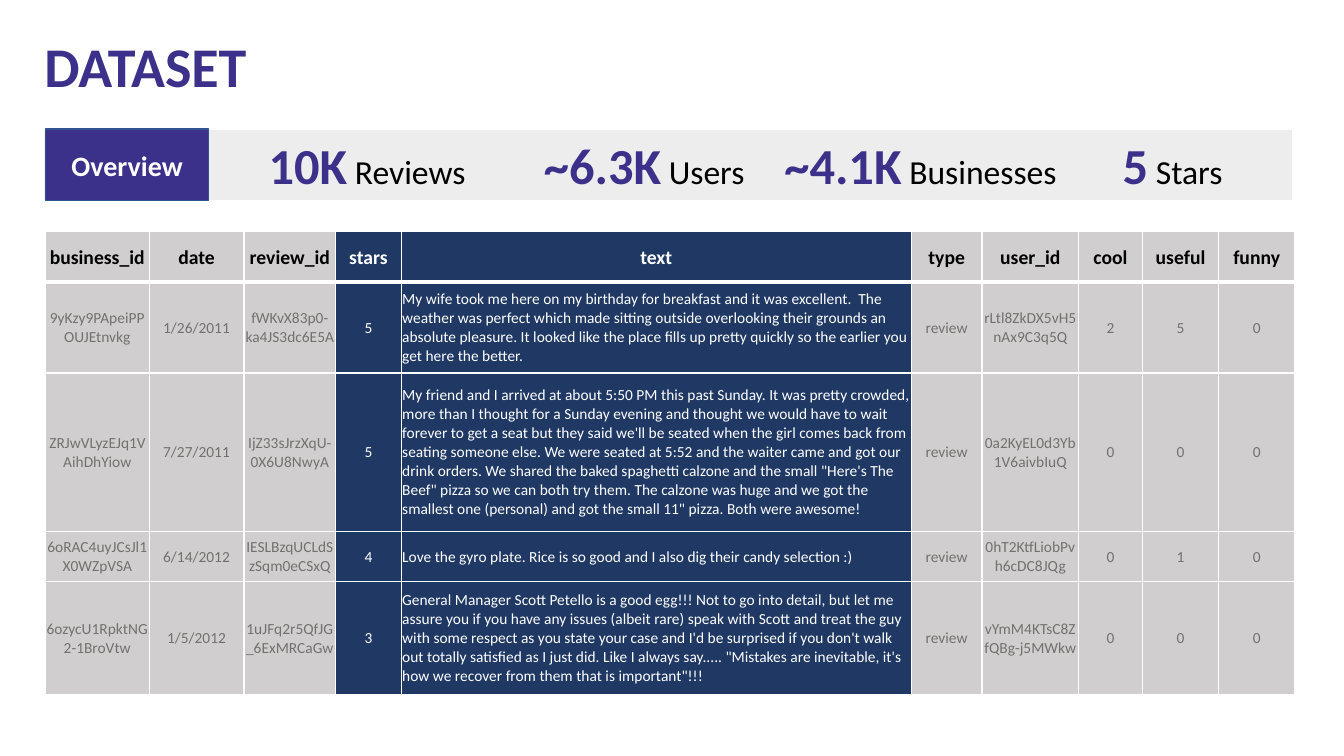
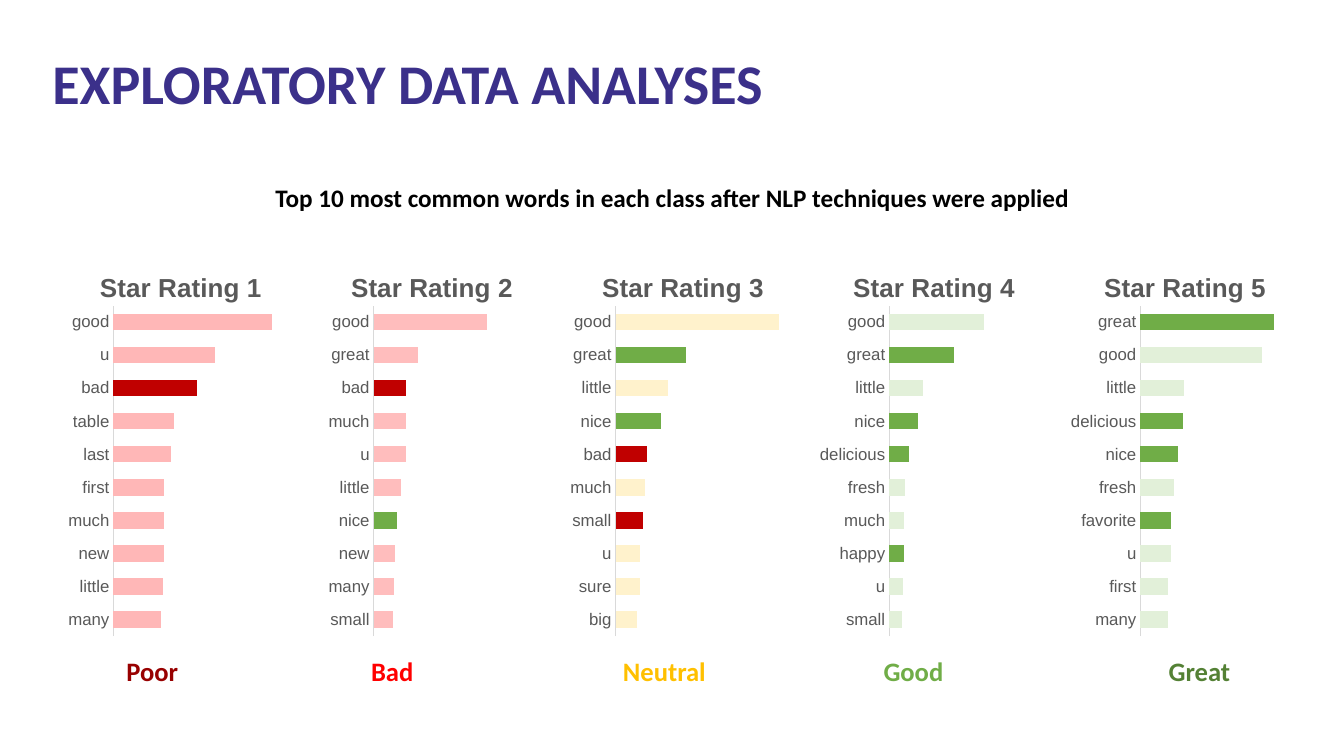
from dataclasses import dataclass
from typing import NamedTuple

from lxml.etree import SubElement
from pptx import Presentation
from pptx.chart.data import CategoryChartData
from pptx.dml.color import RGBColor
from pptx.enum.chart import XL_CHART_TYPE as ChartType, XL_TICK_MARK as TickMark
from pptx.enum.shapes import MSO_SHAPE as Preset
from pptx.enum.text import MSO_ANCHOR as Anchor, MSO_AUTO_SIZE as AutoSize, PP_ALIGN as Align
from pptx.oxml import parse_xml
from pptx.oxml.ns import nsdecls, qn
from pptx.util import Inches, Pt

PURPLE, NAVY, WHITE, BLACK = "3B308A", "1F3864", "FFFFFF", "000000"
BAND_GRAY, CELL_GRAY, CELL_TEXT = "EDEDED", "D0CECE", "757070"
CHART_TEXT, AXIS_GRAY = "595959", "D9D9D9"
GREEN, RED = "70AD47", "C00000"
BODY_FONT, CHART_FONT = "Calibri", "Arial"
BAND_TOP, BAND_HEIGHT = 1.28, 0.71
CHART_LEFT, CHART_STEP = 0.63, 2.49


class Box(NamedTuple):
    left: float
    top: float
    width: float
    height: float


class Piece(NamedTuple):
    text: str
    size: float
    color: str
    bold: bool = True


class Figure(NamedTuple):
    left: float
    value: str
    unit: str


class Column(NamedTuple):
    name: str
    width: float
    dark: bool = False


@dataclass
class Rating:
    label: str
    label_color: str
    label_left: float
    label_width: float
    bar_color: str
    words: str
    values: list[int]
    positive: str
    negative: str
    plot_left: float
    plot_width: float
    maximum: int = 100


FIGURES = [
    Figure(1.79, "10K", "Reviews"),
    Figure(4.54, "~6.3K", "Users"),
    Figure(7.28, "~4.1K", "Businesses"),
    Figure(9.78, "5", "Stars"),
]

COLUMNS = [
    Column("business_id", 1.03), Column("date", 0.94), Column("review_id", 0.91),
    Column("stars", 0.65, True), Column("text", 5.06, True), Column("type", 0.7),
    Column("user_id", 0.96), Column("cool", 0.63), Column("useful", 0.76),
    Column("funny", 0.75),
]
ROW_HEIGHTS = [0.5, 0.9, 1.57, 0.5, 1.12]
REVIEWS = [
    ["9yKzy9PApeiPPOUJEtnvkg", "1/26/2011", "fWKvX83p0-ka4JS3dc6E5A", "5",
     "My wife took me here on my birthday for breakfast and it was excellent.  The weather was "
     "perfect which made sitting outside overlooking their grounds an absolute pleasure. It looked "
     "like the place fills up pretty quickly so the earlier you get here the better.",
     "review", "rLtl8ZkDX5vH5nAx9C3q5Q", "2", "5", "0"],
    ["ZRJwVLyzEJq1VAihDhYiow", "7/27/2011", "IjZ33sJrzXqU-0X6U8NwyA", "5",
     "My friend and I arrived at about 5:50 PM this past Sunday. It was pretty crowded, more than "
     "I thought for a Sunday evening and thought we would have to wait forever to get a seat but "
     "they said we'll be seated when the girl comes back from seating someone else. We were seated "
     "at 5:52 and the waiter came and got our drink orders. We shared the baked spaghetti calzone "
     "and the small \"Here's The Beef\" pizza so we can both try them. The calzone was huge and we "
     "got the smallest one (personal) and got the small 11\" pizza. Both were awesome!",
     "review", "0a2KyEL0d3Yb1V6aivbIuQ", "0", "0", "0"],
    ["6oRAC4uyJCsJl1X0WZpVSA", "6/14/2012", "IESLBzqUCLdSzSqm0eCSxQ", "4",
     "Love the gyro plate. Rice is so good and I also dig their candy selection :)",
     "review", "0hT2KtfLiobPvh6cDC8JQg", "0", "1", "0"],
    ["6ozycU1RpktNG2-1BroVtw", "1/5/2012", "1uJFq2r5QfJG_6ExMRCaGw", "3",
     "General Manager Scott Petello is a good egg!!! Not to go into detail, but let me assure you "
     "if you have any issues (albeit rare) speak with Scott and treat the guy with some respect as "
     "you state your case and I'd be surprised if you don't walk out totally satisfied as I just "
     "did. Like I always say..... \"Mistakes are inevitable, it's how we recover from them that is "
     "important\"!!!",
     "review", "vYmM4KTsC8ZfQBg-j5MWkw", "0", "0", "0"],
]

RATINGS = [
    Rating("Poor", "980000", 1.11, 0.8, "FFB7B7",
           "good u bad table last first much new little many",
           [100, 64, 53, 38, 36, 32, 32, 32, 31, 30], "", "bad", 0.22, 0.7),
    Rating("Bad", "FF0000", 3.49, 0.8, "FFBDBD",
           "good great bad much u little nice new many small",
           [100, 39, 29, 29, 29, 24, 21, 19, 18, 17], "nice", "bad", 0.26, 0.6, 120),
    Rating("Neutral", "FFC000", 6.06, 1.06, "FFF2CC",
           "good great little nice bad much small u sure big",
           [100, 43, 32, 28, 19, 18, 17, 15, 15, 13], "great nice", "bad small", 0.22, 0.72),
    Rating("Good", GREEN, 8.66, 0.8, "E2F0D9",
           "good great little nice delicious fresh much happy u small",
           [100, 69, 36, 30, 21, 17, 16, 16, 15, 14],
           "great nice delicious happy", "", 0.32, 0.65, 156),
    Rating("Great", "548135", 11.25, 1.29, "E2F0D9",
           "great good little delicious nice fresh favorite u first many",
           [100, 91, 33, 32, 28, 25, 23, 23, 21, 21],
           "great delicious nice favorite", "", 0.32, 0.59),
]


def rgb(color: str) -> RGBColor:
    """Turn a hex string into a colour."""
    return RGBColor.from_string(color)


def inches(box: Box) -> list:
    """Convert a box to lengths."""
    return [Inches(value) for value in box]


def style_font(font, size: float, color: str, bold: bool = False, name: str = BODY_FONT) -> None:
    """Set the face, size, colour and weight of a font."""
    font.name, font.size, font.bold = name, Pt(size), bold
    font.color.rgb = rgb(color)


def write_pieces(text_frame, pieces: list[Piece], align: Align = Align.CENTER) -> None:
    """Write styled pieces of text into one paragraph."""
    paragraph = text_frame.paragraphs[0]
    paragraph.alignment = align
    for piece in pieces:
        run = paragraph.add_run()
        run.text = piece.text
        style_font(run.font, piece.size, piece.color, piece.bold)


def add_text(slide, box: Box, pieces: list[Piece], anchor: Anchor = Anchor.TOP,
             inset: float = 0.05) -> None:
    """Add a wrapped and centred text box."""
    text_frame = slide.shapes.add_textbox(*inches(box)).text_frame
    text_frame.word_wrap = True
    text_frame.vertical_anchor = anchor
    text_frame.margin_top = text_frame.margin_bottom = Inches(inset)
    write_pieces(text_frame, pieces)


def add_rectangle(slide, box: Box, fill: str, line: str):
    """Add a flat rectangle with a thin outline."""
    shape = slide.shapes.add_shape(Preset.RECTANGLE, *inches(box))
    shape.shadow.inherit = False
    shape.fill.solid()
    shape.fill.fore_color.rgb = rgb(fill)
    shape.line.color.rgb = rgb(line)
    shape.line.width = Pt(1)
    return shape


def add_titled_slide(presentation, title: str, left: float, top: float):
    """Add a title-only slide with the shared title style."""
    slide = presentation.slides.add_slide(presentation.slide_layouts[5])
    shape = slide.shapes.title
    shape.left, shape.top, shape.width, shape.height = inches(Box(left, top, 12.04, 0.77))
    text_frame = shape.text_frame
    text_frame.auto_size = AutoSize.NONE
    text_frame.vertical_anchor = Anchor.TOP
    write_pieces(text_frame, [Piece(title, 40, PURPLE)], Align.LEFT)
    return slide


def draw_borders(cell, bottom: float) -> None:
    """Give a cell white borders with the given bottom width."""
    properties = cell._tc.get_or_add_tcPr()
    for side, width in (("L", 1), ("R", 1), ("T", 1), ("B", bottom)):
        line = SubElement(properties, qn(f"a:ln{side}"), w=str(Pt(width)))
        SubElement(SubElement(line, qn("a:solidFill")), qn("a:srgbClr"), val=WHITE)


def fill_cell(cell, text: str, column: Column, header: bool) -> None:
    """Write and style one cell of the review table."""
    draw_borders(cell, 3 if header else 1)
    cell.fill.solid()
    cell.fill.fore_color.rgb = rgb(NAVY if column.dark else CELL_GRAY)
    cell.vertical_anchor = Anchor.MIDDLE
    cell.margin_left = cell.margin_right = cell.margin_top = Inches(0.01)
    cell.margin_bottom = 0
    plain_color = BLACK if header else CELL_TEXT
    color = WHITE if column.dark else plain_color
    align = Align.LEFT if column.name == "text" and not header else Align.CENTER
    write_pieces(cell.text_frame, [Piece(text, 14 if header else 11, color, header)], align)


def add_review_table(slide) -> None:
    """Add the table of sample reviews."""
    rows = [[column.name for column in COLUMNS], *REVIEWS]
    box = Box(0.45, 2.3, 12.39, sum(ROW_HEIGHTS))
    table = slide.shapes.add_table(len(rows), len(COLUMNS), *inches(box)).table
    table.horz_banding = False
    for table_column, column in zip(table.columns, COLUMNS):
        table_column.width = Inches(column.width)
    for row_index, (row, height) in enumerate(zip(rows, ROW_HEIGHTS)):
        table.rows[row_index].height = Inches(height)
        for column_index, (text, column) in enumerate(zip(row, COLUMNS)):
            fill_cell(table.cell(row_index, column_index), text, column, row_index == 0)


def set_layout(parent, index: int, target: str = "", **fractions: float) -> None:
    """Place a chart part by fractions of the chart."""
    for layout in parent.findall(qn("c:layout")):
        parent.remove(layout)
    layout = parse_xml(f"<c:layout {nsdecls('c')}><c:manualLayout/></c:layout>")
    manual = layout[0]
    if target:
        SubElement(manual, qn("c:layoutTarget"), val=target)
    for mode in ("xMode", "yMode"):
        SubElement(manual, qn(f"c:{mode}"), val="edge")
    for name, value in fractions.items():
        SubElement(manual, qn(f"c:{name}"), val=str(value))
    parent.insert(index, layout)


def add_word_chart(slide, number: int, rating: Rating) -> None:
    """Add the bar chart of common words for one rating."""
    words = rating.words.split()[::-1]
    data = CategoryChartData()
    data.categories = words
    data.add_series("Series 1", rating.values[::-1])
    box = Box(CHART_LEFT + CHART_STEP * (number - 1), 2.44, 2.25, 3.95)
    chart = slide.shapes.add_chart(ChartType.BAR_CLUSTERED, *inches(box), data).chart
    chart.has_legend = False
    style_font(chart.font, 10, BLACK, name=CHART_FONT)
    title_frame = chart.chart_title.text_frame
    title_frame.text = f"Star Rating {number}"
    style_font(title_frame.paragraphs[0].runs[0].font, 18.6, CHART_TEXT, True, CHART_FONT)
    set_layout(chart.element.find(".//" + qn("c:title")), 1, x=0.14, y=0.05)
    set_layout(chart.element.find(".//" + qn("c:plotArea")), 0, "inner",
               x=rating.plot_left, y=0.15, w=rating.plot_width, h=0.83)

    value_axis, category_axis = chart.value_axis, chart.category_axis
    value_axis.minimum_scale, value_axis.maximum_scale = 0, rating.maximum
    value_axis.has_major_gridlines = value_axis.visible = False
    category_axis.major_tick_mark = TickMark.NONE
    category_axis.format.line.color.rgb = rgb(AXIS_GRAY)
    category_axis.format.line.width = Pt(0.75)
    style_font(category_axis.tick_labels.font, 12, CHART_TEXT, name=CHART_FONT)

    plot = chart.plots[0]
    plot.vary_by_categories = False
    plot.gap_width, plot.overlap = 102, 32
    series = plot.series[0]
    series.format.fill.solid()
    series.format.fill.fore_color.rgb = rgb(rating.bar_color)
    for highlighted, color in ((rating.positive, GREEN), (rating.negative, RED)):
        for word in highlighted.split():
            fill = series.points[words.index(word)].format.fill
            fill.solid()
            fill.fore_color.rgb = rgb(color)


def build_dataset_slide(presentation) -> None:
    """Build the slide with key figures and sample reviews."""
    slide = add_titled_slide(presentation, "DATASET", 0.34, 0.26)
    add_rectangle(slide, Box(0.43, BAND_TOP, 12.39, BAND_HEIGHT), BAND_GRAY, WHITE)
    add_review_table(slide)
    for figure in FIGURES:
        pieces = [Piece(figure.value, 36, PURPLE), Piece(f" {figure.unit}", 24, BLACK, False)]
        add_text(slide, Box(figure.left, BAND_TOP, 3.7, BAND_HEIGHT), pieces, Anchor.MIDDLE)
    overview = add_rectangle(slide, Box(0.45, BAND_TOP, 1.62, BAND_HEIGHT), PURPLE, "31538F")
    overview.text_frame.vertical_anchor = Anchor.MIDDLE
    write_pieces(overview.text_frame, [Piece("Overview", 20, WHITE)])


def build_analyses_slide(presentation) -> None:
    """Build the slide with the common words of each rating."""
    slide = add_titled_slide(presentation, "EXPLORATORY DATA ANALYSES", 0.42, 0.43)
    heading = "Top 10 most common words in each class after NLP techniques were applied"
    add_text(slide, Box(2.44, 1.76, 8.46, 0.4), [Piece(heading, 18, BLACK)])
    for number, rating in enumerate(RATINGS, start=1):
        add_word_chart(slide, number, rating)
        add_text(slide, Box(rating.label_left, 6.4, rating.label_width, 0.52),
                 [Piece(rating.label, 19, rating.label_color)], inset=0.1)


def main() -> None:
    """Build and save the presentation."""
    presentation = Presentation()
    presentation.slide_width, presentation.slide_height = Inches(13.33), Inches(7.5)
    build_dataset_slide(presentation)
    build_analyses_slide(presentation)
    presentation.save("out.pptx")


if __name__ == "__main__":
    main()
